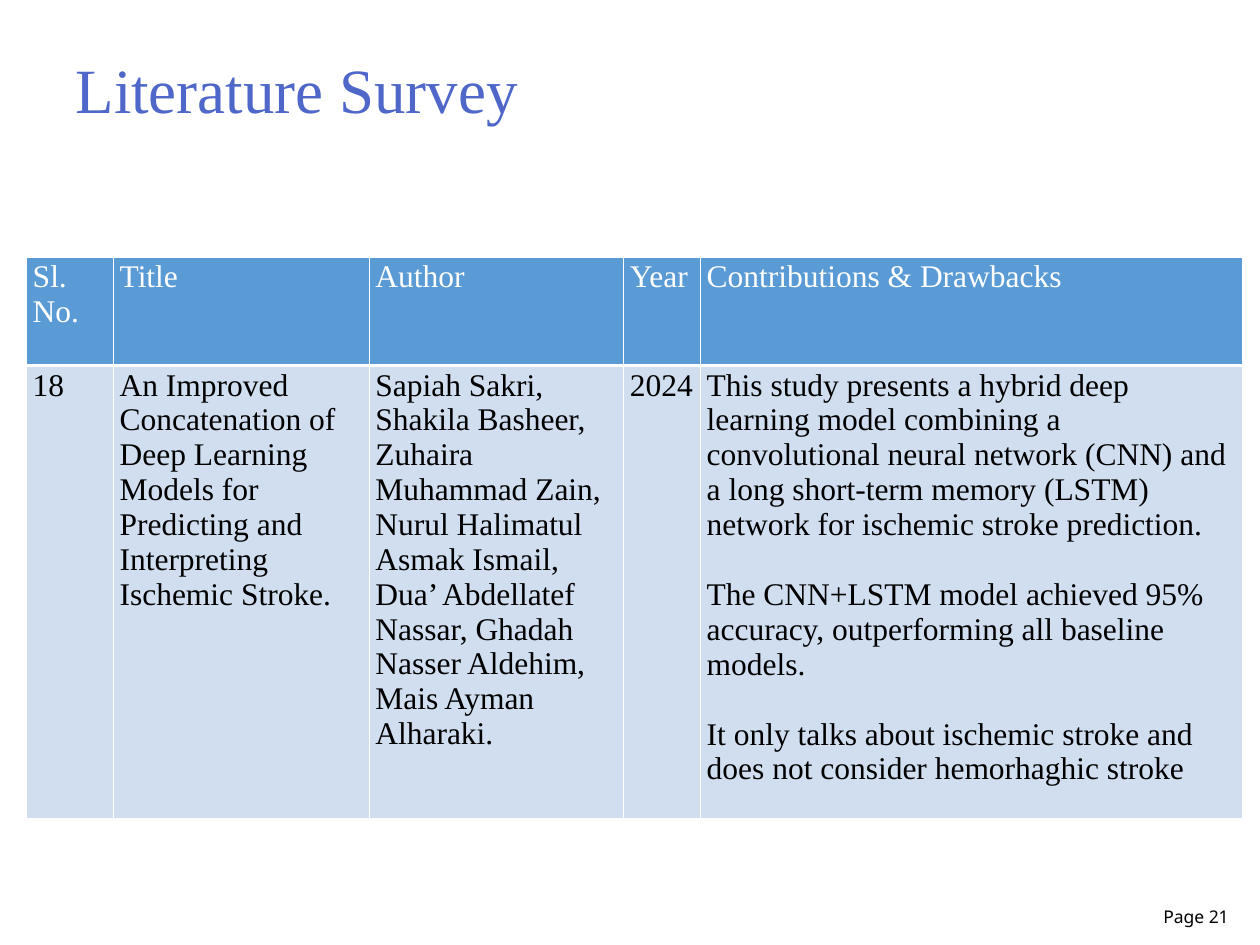
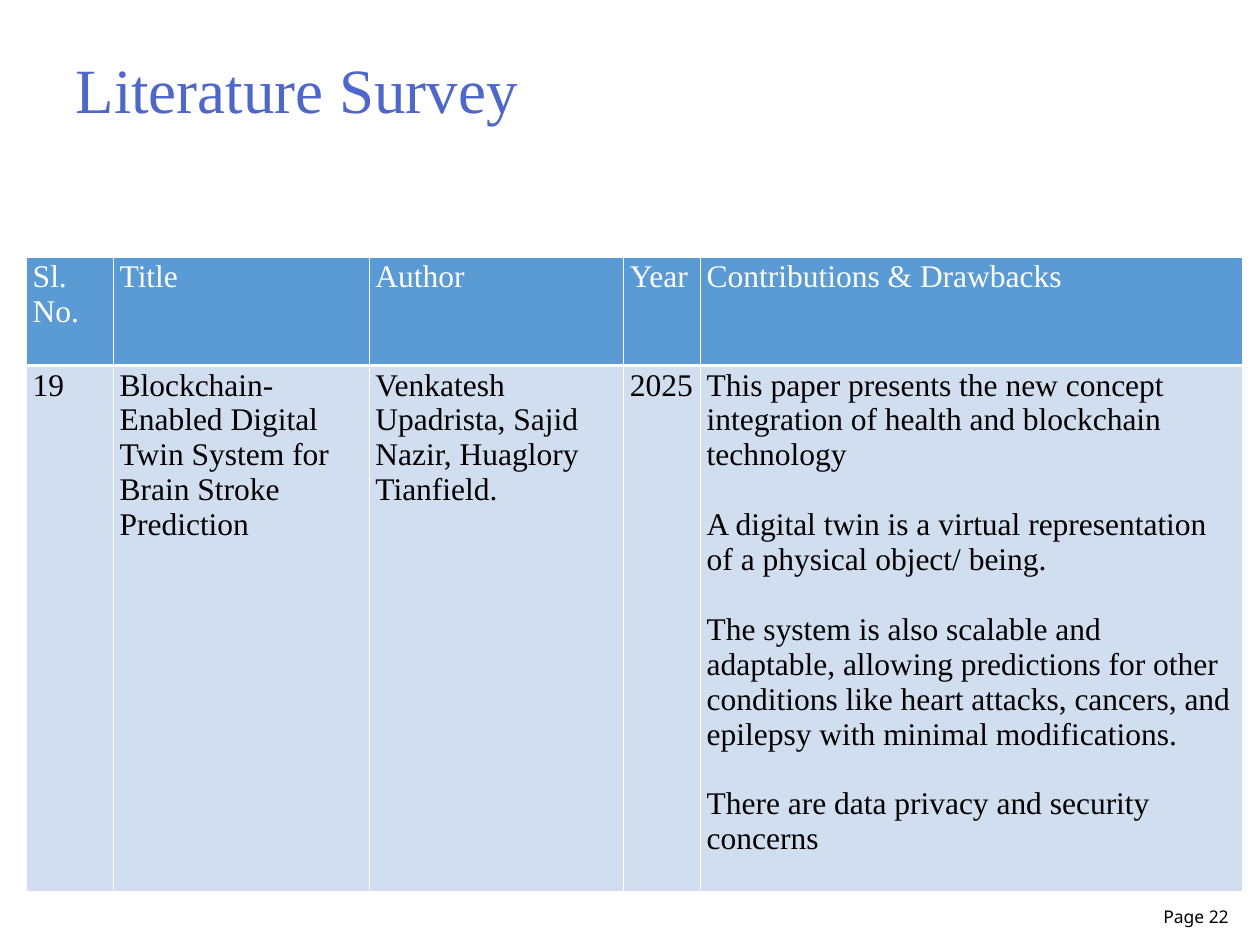
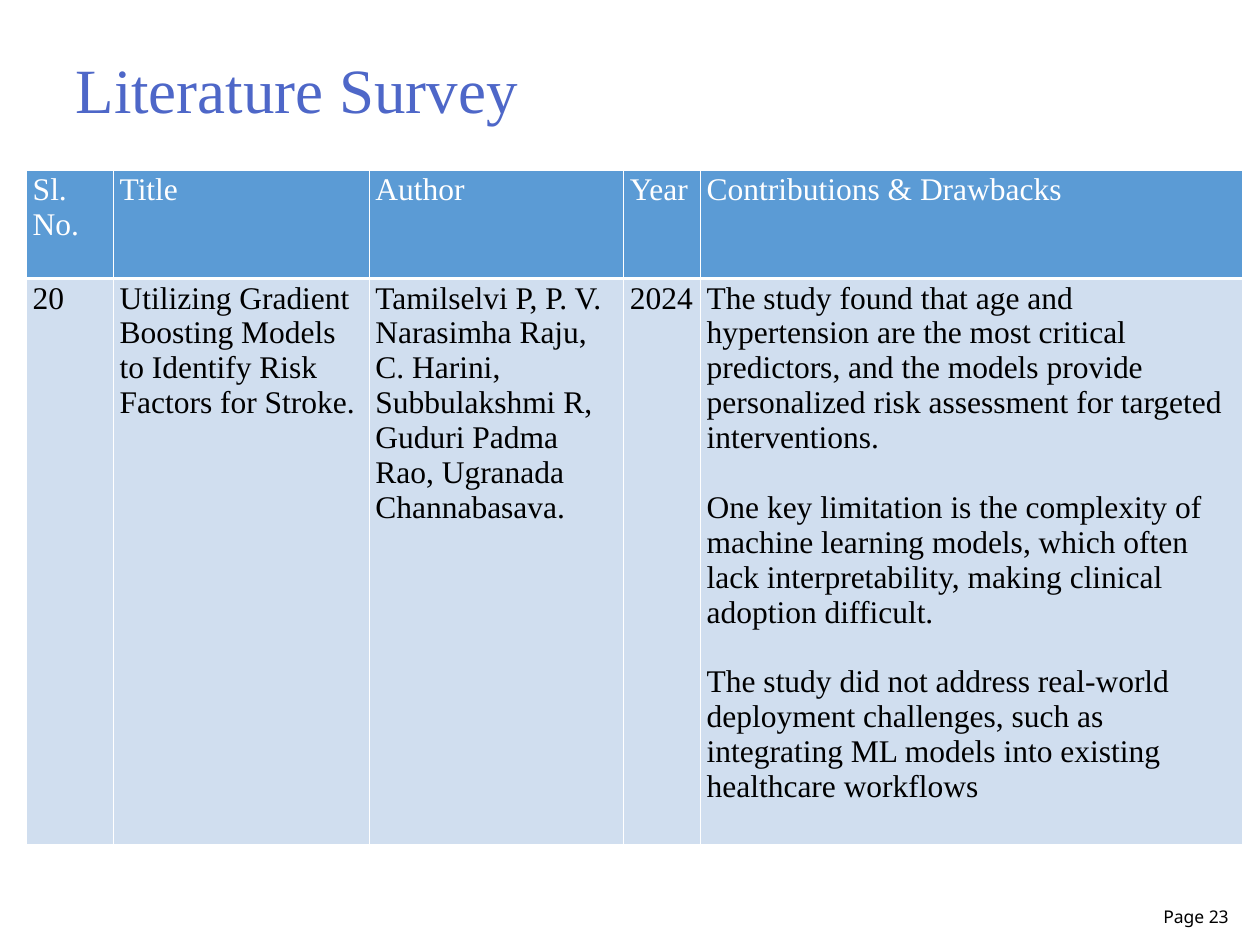
import pptx
import pptx.dml.color
import pptx.enum.text
import pptx.oxml
import pptx.oxml.ns
import pptx.util

WIDE, HIGH = pptx.util.Inches(10), pptx.util.Inches(7.5)
COLS, ROWS = 100, 75
Pt = pptx.util.Pt
INKS = {"title": "4E67C8", "head": "5B9BD5", "body": "D0DEEF", "white": "FFFFFF", "black": "000000"}
FONTS = {
    "title": {"name": "Times New Roman", "size": Pt(36)},
    "cell": {"name": "Times New Roman", "size": Pt(18)},
    "page": {"name": "Noto Sans", "size": Pt(10)},
}
ANCHOR = pptx.enum.text.MSO_ANCHOR
ALIGN = pptx.enum.text.PP_ALIGN
TITLE = {"word_wrap": True, "vertical_anchor": ANCHOR.MIDDLE, "margin_left": pptx.util.Inches(0.6)}
PAGE = {"word_wrap": True, "vertical_anchor": ANCHOR.BOTTOM}
CELL = {
    "margin_left": pptx.util.Inches(0.05),
    "margin_right": pptx.util.Inches(0.05),
    "margin_top": pptx.util.Inches(0.02),
    "margin_bottom": pptx.util.Inches(0.02),
}
SPANS = [6.9, 20.3, 20.2, 6.1, 43]
TALL = [8.6, 29.9]
HEADS = ["Sl. No.", "Title", "Author", "Year", "Contributions & Drawbacks"]
THIN, THICK = 0.75, 2

PAPERS = [
    {"page": 21, "top": 20.4, "row": [
        "18",
        "An Improved Concatenation of Deep Learning Models for Predicting and Interpreting Ischemic Stroke.",
        "Sapiah Sakri, Shakila Basheer, Zuhaira Muhammad Zain, Nurul Halimatul Asmak Ismail, "
        "Dua’ Abdellatef Nassar, Ghadah Nasser Aldehim, Mais Ayman Alharaki.",
        "2024",
        "This study presents a hybrid deep learning model combining a convolutional neural network (CNN) "
        "and a long short-term memory (LSTM) network for ischemic stroke prediction.\n"
        "The CNN+LSTM model achieved 95% accuracy, outperforming all baseline models.\n"
        "It only talks about ischemic stroke and does not consider hemorhaghic stroke",
    ]},
    {"page": 22, "top": 20.4, "row": [
        "19",
        "Blockchain-Enabled Digital Twin System for Brain Stroke Prediction",
        "Venkatesh Upadrista, Sajid Nazir, Huaglory Tianfield.",
        "2025",
        "This paper presents the new concept integration of health and blockchain technology\n"
        "A digital twin is a virtual representation of a physical object/ being.\n"
        "The system is also scalable and adaptable, allowing predictions for other conditions like "
        "heart attacks, cancers, and epilepsy with minimal modifications.\n"
        "There are data privacy and security concerns",
    ]},
    {"page": 23, "top": 13.5, "row": [
        "20",
        "Utilizing Gradient Boosting Models to Identify Risk Factors for Stroke.",
        "Tamilselvi P, P. V. Narasimha Raju, C. Harini, Subbulakshmi R, Guduri Padma Rao, "
        "Ugranada Channabasava.",
        "2024",
        "The study found that age and hypertension are the most critical predictors, and the models "
        "provide personalized risk assessment for targeted interventions.\n"
        "One key limitation is the complexity of machine learning models, which often lack "
        "interpretability, making clinical adoption difficult.\n"
        "The study did not address real-world deployment challenges, such as integrating ML models "
        "into existing healthcare workflows",
    ]},
]


def across(count):
    return round(WIDE * count / COLS)


def down(count):
    return round(HIGH * count / ROWS)


def place(left, top, width, height):
    return across(left), down(top), across(width), down(height)


def apply(item, values):
    for key, value in values.items():
        setattr(item, key, value)


def tint(ink):
    return pptx.dml.color.RGBColor.from_string(INKS[ink])


def write(frame, text, font, ink, align=ALIGN.LEFT):
    frame.text = text
    for index, para in enumerate(frame.paragraphs):
        para.alignment = align
        if index:
            para.space_before = Pt(20)
        for run in para.runs:
            apply(run.font, FONTS[font])
            run.font.color.rgb = tint(ink)


def label(slide, box, text, font, ink, form, align=ALIGN.LEFT):
    frame = slide.shapes.add_textbox(*box).text_frame
    apply(frame, form)
    write(frame, text, font, ink, align)


def edge(cell, sides):
    props = cell._tc.get_or_add_tcPr()
    for index, (side, width) in enumerate(sides.items()):
        line = pptx.oxml.parse_xml(
            f'<a:ln{side} {pptx.oxml.ns.nsdecls("a")} w="{Pt(width)}"><a:solidFill>'
            f'<a:srgbClr val="{INKS["white"]}"/></a:solidFill></a:ln{side}>')
        props.insert(index, line)


def fill(cell, text, head):
    apply(cell, CELL)
    cell.fill.solid()
    cell.fill.fore_color.rgb = tint("head" if head else "body")
    write(cell.text_frame, text, "cell", "white" if head else "black")
    edge(cell, {"L": THIN, "R": THIN, "T": THIN if head else THICK, "B": THICK if head else THIN})


def survey(slide, box, row):
    table = slide.shapes.add_table(len(TALL), len(SPANS), *box).table
    for column, span in zip(table.columns, SPANS):
        column.width = across(span)
    for line, tall in zip(table.rows, TALL):
        line.height = down(tall)
    for index, texts in enumerate([HEADS, row]):
        for cell, text in zip(table.rows[index].cells, texts):
            fill(cell, text, index == 0)


def paper(slide, page, top, row):
    label(slide, place(0, 2.3, 75.2, 9.4), "Literature Survey", "title", "title", TITLE)
    survey(slide, place(2.1, top, sum(SPANS), sum(TALL)), row)
    label(slide, place(90.9, 70.1, 7.6, 4), f"Page {page}", "page", "black", PAGE, ALIGN.RIGHT)


def main():
    deck = pptx.Presentation()
    apply(deck, {"slide_width": WIDE, "slide_height": HIGH})
    for entry in PAPERS:
        paper(deck.slides.add_slide(deck.slide_layouts[6]), **entry)
    deck.save("out.pptx")


if __name__ == "__main__":
    main()
